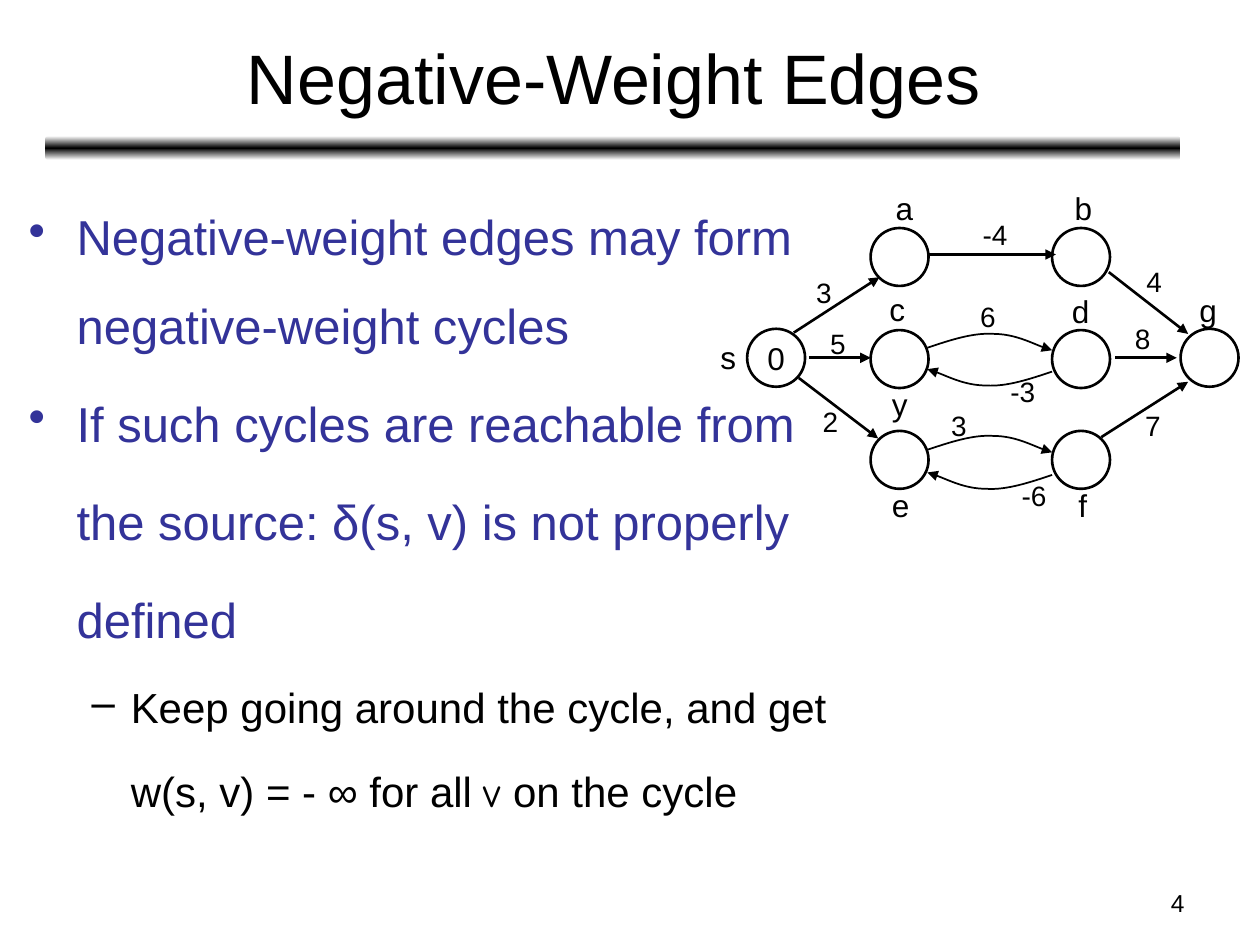
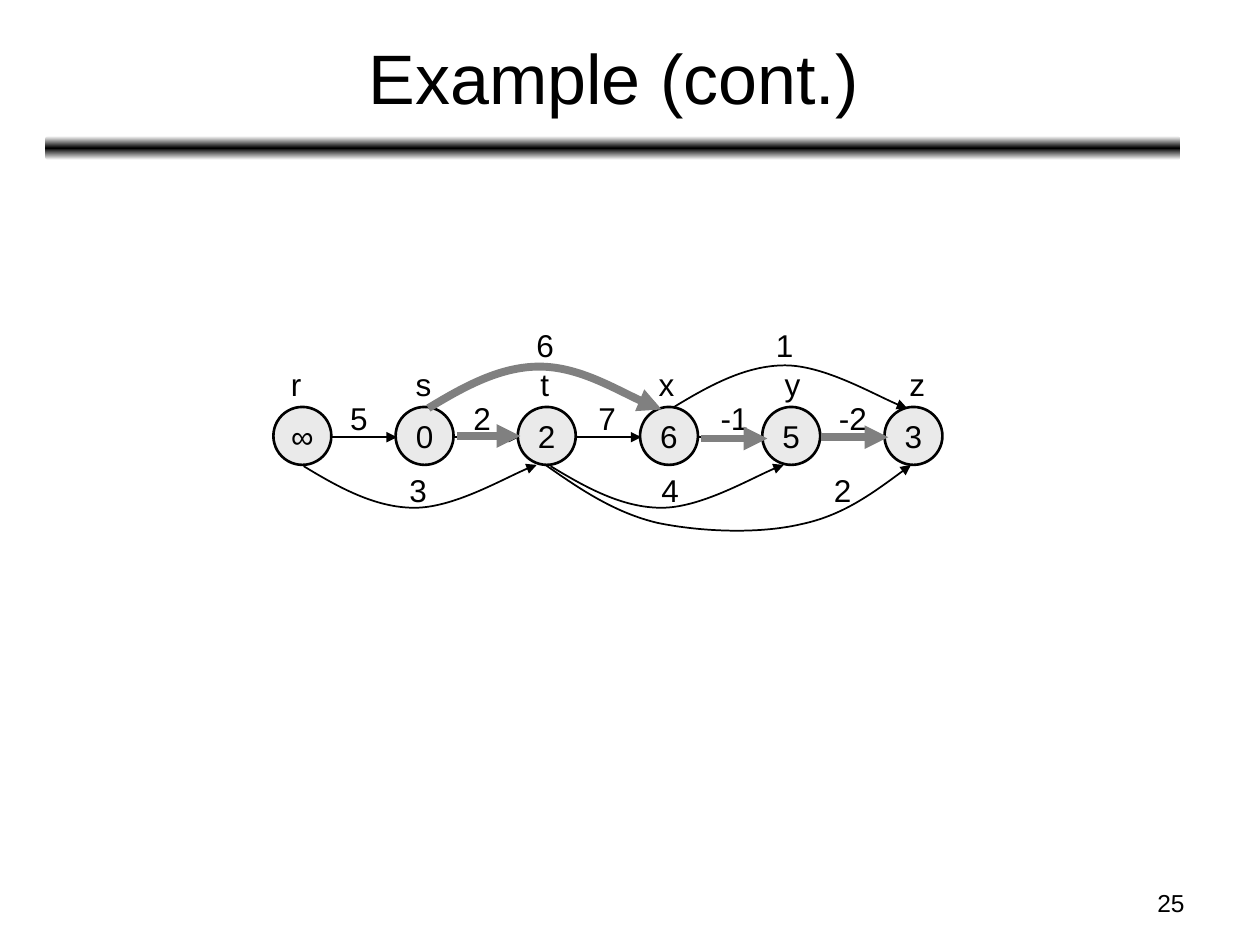
from copy import deepcopy

from lxml import etree
from pptx import Presentation
from pptx.dml.color import RGBColor
from pptx.enum import shapes as kinds, text as layout
from pptx.oxml.ns import qn
from pptx.util import Inches, Pt

BLACK = RGBColor(0x00, 0x00, 0x00)
WHITE = RGBColor(0xFF, 0xFF, 0xFF)
BLUE = RGBColor(0x33, 0x33, 0x99)
GREY = RGBColor(0x80, 0x80, 0x80)
PALE = RGBColor(0xEA, 0xEA, 0xEA)
NODE_SIZE = 0.46


def add_run(paragraph, words, size, color=BLACK, font="Arial"):
    run = paragraph.add_run()
    run.text = words
    run.font.size = Pt(size)
    run.font.name = font
    run.font.color.rgb = color


def add_arrow(slide, points, width, color=BLACK):
    corners = [(Inches(x), Inches(y)) for x, y in points]
    if len(corners) == 2:
        arrow = slide.shapes.add_connector(
            kinds.MSO_CONNECTOR.STRAIGHT, *corners[0], *corners[1])
    else:
        builder = slide.shapes.build_freeform(*corners[0], scale=1.0)
        builder.add_line_segments(corners[1:], close=False)
        arrow = builder.convert_to_shape()
        arrow.fill.background()
        outline = arrow._element.find(".//" + qn("a:path"))
        segments = outline.findall(qn("a:lnTo"))
        for start in range(0, len(segments), 3):
            bend = etree.SubElement(outline, qn("a:cubicBezTo"))
            for segment in segments[start:start + 3]:
                bend.append(segment[0])
                outline.remove(segment)
    arrow.line.color.rgb = color
    arrow.line.width = Pt(width)
    etree.SubElement(arrow.line._get_or_add_ln(), qn("a:tailEnd"), type="triangle")
    etree.SubElement(arrow._element.spPr, qn("a:effectLst"))


negative_nodes = [
    ("0", 5.93, 2.61), ("", 6.91, 1.81), ("", 8.35, 1.81), ("", 6.91, 3.42),
    ("", 8.35, 3.42), ("", 9.37, 2.61), ("", 6.91, 2.62), ("", 8.35, 2.62),
]
negative_names = [
    ("s", 5.62, 2.63), ("a", 7.01, 1.45), ("b", 8.43, 1.45), ("e", 6.98, 3.81),
    ("f", 8.46, 3.81), ("y", 6.98, 3.01), ("c", 6.96, 2.25), ("d", 8.41, 2.27),
    ("g", 9.42, 2.26),
]
negative_weights = [
    ("3", 6.38, 2.14), ("-4", 7.7, 1.68), ("2", 6.43, 3.16), ("8", 8.91, 2.5),
    ("-6", 8.01, 3.75), ("-3", 7.92, 2.92), ("3", 7.45, 3.19), ("5", 6.49, 2.54),
    ("6", 7.68, 2.33), ("4", 9.0, 2.05), ("7", 8.99, 3.19),
]
negative_edges = [([start, end], 1.5, BLACK) for start, end in [
    ((7.37, 2.02), (8.38, 2.02)), ((6.3, 2.64), (6.98, 2.2)),
    ((6.34, 3.0), (6.97, 3.48)), ((8.8, 2.16), (9.43, 2.65)),
    ((8.74, 3.47), (9.43, 3.03)), ((6.42, 2.84), (6.91, 2.84)),
    ((8.85, 2.84), (9.34, 2.84)),
]]
cycle_bend = [(0, 0), (0.18, -0.06), (0.36, -0.12), (0.52, -0.11),
              (0.69, -0.11), (0.91, 0), (0.99, 0.02)]
for x, y, way in [(7.36, 2.76, 1), (8.35, 2.95, -1), (7.36, 3.57, 1), (8.35, 3.77, -1)]:
    negative_edges.append(([(x + way * dx, y + way * dy) for dx, dy in cycle_bend], 1, BLACK))

example_nodes = [(value, 2.17 + 0.97 * i, 3.23) for i, value in enumerate("∞02653")]
example_names = [(name, x, 2.85) for name, x in
                 zip("rstxyz", [2.21, 3.2, 4.19, 5.13, 6.13, 7.12])]
example_weights = [
    ("6", 4.16, 2.54), ("1", 6.06, 2.54), ("5", 2.68, 3.12), ("2", 3.66, 3.12),
    ("7", 4.65, 3.12), ("-1", 5.62, 3.12), ("-2", 6.56, 3.12), ("3", 3.15, 3.69),
    ("4", 5.15, 3.69), ("2", 6.52, 3.69),
]
example_edges = [([(2.62 + 0.97 * i, 3.47), (3.15 + 0.97 * i, 3.47)], 1, BLACK)
                 for i in range(5)]
example_edges.append(([(4.33, 3.69), (4.6, 3.88), (4.88, 4.07), (5.22, 4.15), (5.56, 4.22),
                       (6.02, 4.24), (6.36, 4.16), (6.69, 4.09), (6.96, 3.89), (7.23, 3.69)],
                      1, BLACK))
skip_bend = [(0, 0), (0.28, -0.17), (0.57, -0.33), (0.88, -0.33),
             (1.19, -0.33), (1.69, -0.04), (1.85, 0.01)]
for x, y, way, width, color in [
    (3.39, 3.23, 1, 1, BLACK), (5.35, 3.23, 1, 1, BLACK), (4.37, 3.7, -1, 1, BLACK),
    (2.41, 3.7, -1, 1, BLACK), (3.4, 3.24, 1, 4.5, GREY),
]:
    example_edges.append(([(x + dx, y + way * dy) for dx, dy in skip_bend], width, color))
for x, end, y in [(3.63, 4.13, 3.46), (5.56, 6.09, 3.48), (6.52, 7.05, 3.47)]:
    example_edges.append(([(x, y), (end, y)], 4.5, GREY))

pages = [
    ("Negative-Weight Edges", "4", negative_nodes, None,
     negative_names, negative_weights, 16, negative_edges),
    ("Example (cont.)", "25", example_nodes, PALE,
     example_names, example_weights, 18, example_edges),
]

deck = Presentation()
deck.slide_width = Inches(10)
deck.slide_height = Inches(7.5)

for heading, number, nodes, node_fill, names, weights, weight_size, edges in pages:
    slide = deck.slides.add_slide(deck.slide_layouts[5])

    band = slide.shapes.add_shape(kinds.MSO_SHAPE.ROUNDED_RECTANGLE, Inches(0.36),
                                  Inches(1.08), Inches(9.01), Inches(0.19))
    band.shadow.inherit = False
    band.line.fill.background()
    band.fill.gradient()
    band.fill.gradient_angle = 90
    top, middle = band.fill.gradient_stops
    top.color.rgb, top.position = WHITE, 0
    middle.color.rgb, middle.position = BLACK, 0.5
    bottom = deepcopy(top._gs)
    bottom.set("pos", "100000")
    middle._gs.addnext(bottom)

    title = slide.shapes.title
    title.left, title.top = Inches(0.37), Inches(0.11)
    title.width, title.height = Inches(9), Inches(0.99)
    title.text_frame.vertical_anchor = layout.MSO_ANCHOR.MIDDLE
    title.text_frame.paragraphs[0].alignment = layout.PP_ALIGN.CENTER
    add_run(title.text_frame.paragraphs[0], heading, 40)

    footer = slide.shapes.add_textbox(Inches(7.17), Inches(7), Inches(2.33), Inches(0.35))
    footer.text_frame.word_wrap = True
    footer.text_frame.paragraphs[0].alignment = layout.PP_ALIGN.RIGHT
    add_run(footer.text_frame.paragraphs[0], number, 14)

    for value, x, y in nodes:
        node = slide.shapes.add_shape(kinds.MSO_SHAPE.OVAL, Inches(x), Inches(y),
                                      Inches(NODE_SIZE), Inches(NODE_SIZE))
        node.shadow.inherit = False
        node.line.color.rgb = BLACK
        node.line.width = Pt(1.5)
        if node_fill:
            node.fill.solid()
            node.fill.fore_color.rgb = node_fill
        else:
            node.fill.background()
        if value:
            node.text_frame.word_wrap = False
            node.text_frame.vertical_anchor = layout.MSO_ANCHOR.MIDDLE
            node.text_frame.paragraphs[0].alignment = layout.PP_ALIGN.CENTER
            add_run(node.text_frame.paragraphs[0], value, 18)

    for labels, size in [(names, 18), (weights, weight_size)]:
        for words, x, y in labels:
            ems = sum(0.28 if c in "ft" else 0.33 if c in "r-" else 0.5 if c in "scxyz" else 0.56
                      for c in words)
            label = slide.shapes.add_textbox(Inches(x), Inches(y), Inches(0.2 + ems * size / 72),
                                             Inches(0.1 + 1.2 * size / 72))
            label.text_frame.word_wrap = False
            label.text_frame.auto_size = layout.MSO_AUTO_SIZE.SHAPE_TO_FIT_TEXT
            add_run(label.text_frame.paragraphs[0], words, size)

    for points, width, color in edges:
        add_arrow(slide, points, width, color)

statements = [
    (0, "•", [("Negative-weight edges may form negative-weight cycles", "Arial")]),
    (0, "•", [("If such cycles are reachable from", "Arial")]),
    (0, "", [("the source: δ(s, v) is not properly", "Arial")]),
    (0, "", [("defined", "Arial")]),
    (1, "–", [("Keep going around the cycle, and get", "Arial")]),
    (1, "", [("w(s, v) = - ∞ for all ", "Arial"), ("v", "Comic Neue"),
             (" on the cycle", "Arial")]),
]
levels = [(28, BLUE, 0.38, 0.38), (24, BLACK, 0.81, 0.31)]
body = deck.slides[0].shapes.add_textbox(Inches(0.13), Inches(1.36), Inches(7.84), Inches(5.55))
body.text_frame.word_wrap = True
for i, (level, bullet, pieces) in enumerate(statements):
    size, color, margin, hang = levels[level]
    paragraph = body.text_frame.add_paragraph() if i else body.text_frame.paragraphs[0]
    paragraph.level = level
    paragraph.line_spacing = 1.5
    paragraph.space_before = Pt(size * 0.2)
    properties = paragraph._p.get_or_add_pPr()
    properties.set("marL", str(Inches(margin)))
    properties.set("indent", str(-Inches(hang) if bullet else 0))
    if bullet:
        etree.SubElement(properties, qn("a:buChar"), char=bullet)
    else:
        etree.SubElement(properties, qn("a:buNone"))
    for words, font in pieces:
        add_run(paragraph, words, size, color, font)

deck.save("out.pptx")
